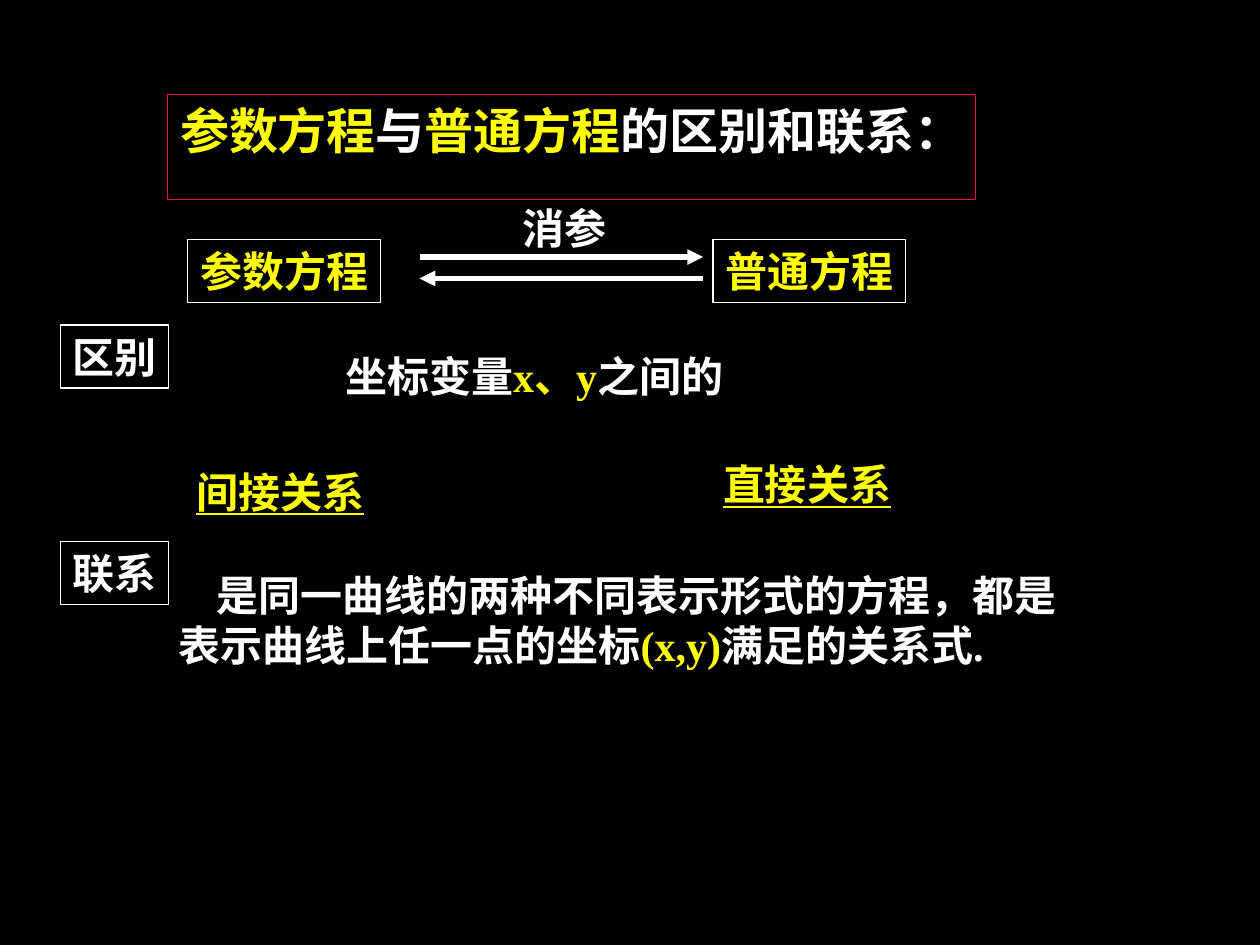
from dataclasses import dataclass

from lxml.etree import SubElement
from pptx import Presentation
from pptx.dml.color import RGBColor
from pptx.enum.shapes import MSO_CONNECTOR, MSO_SHAPE
from pptx.enum.text import MSO_ANCHOR, MSO_AUTO_SIZE, PP_ALIGN
from pptx.oxml.ns import qn
from pptx.util import Inches, Pt


@dataclass(frozen=True)
class Theme:
    background: RGBColor = RGBColor(0x00, 0x00, 0x00)
    text: RGBColor = RGBColor(0xFF, 0xFF, 0xFF)
    accent: RGBColor = RGBColor(0xFF, 0xFF, 0x00)
    title_border: RGBColor = RGBColor(0xFF, 0x00, 0x66)
    font: str = "Times New Roman"
    title_size: int = 28
    body_size: int = 24
    border_width: float = 0.75
    arrow_width: float = 3


THEME = Theme()


def write_text(shape, paragraphs, size=THEME.body_size, underline=False):
    """Each paragraph is a list of (text, colour) runs."""
    frame = shape.text_frame
    frame.word_wrap = False
    frame.auto_size = MSO_AUTO_SIZE.SHAPE_TO_FIT_TEXT
    frame.vertical_anchor = MSO_ANCHOR.TOP
    # A narrow right margin keeps tightly fitting text on one line
    frame.margin_right = Inches(0.05)
    for index, runs in enumerate(paragraphs):
        paragraph = frame.add_paragraph() if index else frame.paragraphs[0]
        paragraph.alignment = PP_ALIGN.LEFT
        paragraph.font.name = THEME.font
        paragraph.font.size = Pt(size)
        paragraph.font.bold = True
        if underline:
            paragraph.font.underline = True
        for text, color in runs:
            run = paragraph.add_run()
            run.text = text
            run.font.color.rgb = color


def set_border(shape, color):
    shape.line.color.rgb = color
    shape.line.width = Pt(THEME.border_width)


def place_title(slide, runs):
    title = slide.shapes.title
    title.left, title.top = Inches(1.33), Inches(0.75)
    title.width, title.height = Inches(6.41), Inches(0.57)
    set_border(title, THEME.title_border)
    write_text(title, [runs], THEME.title_size)


def add_box(slide, left, top, width, text, color):
    box = slide.shapes.add_shape(MSO_SHAPE.RECTANGLE, Inches(left), Inches(top),
                                 Inches(width), Inches(0.5))
    box.shadow.inherit = False
    box.fill.background()
    set_border(box, THEME.text)
    write_text(box, [[(text, color)]])


def add_label(slide, left, top, width, height, paragraphs, underline=False):
    label = slide.shapes.add_textbox(Inches(left), Inches(top),
                                     Inches(width), Inches(height))
    write_text(label, paragraphs, underline=underline)
    return label


def add_arrow(slide, start, end, y):
    arrow = slide.shapes.add_connector(MSO_CONNECTOR.STRAIGHT, Inches(start), Inches(y),
                                       Inches(end), Inches(y))
    arrow.line.color.rgb = THEME.text
    arrow.line.width = Pt(THEME.arrow_width)
    SubElement(arrow.line._get_or_add_ln(), qn("a:tailEnd"), type="triangle")
    SubElement(arrow._element.spPr, qn("a:effectLst"))


def main():
    presentation = Presentation()
    presentation.slide_width, presentation.slide_height = Inches(10), Inches(7.5)
    slide = presentation.slides.add_slide(presentation.slide_layouts[5])
    slide.background.fill.solid()
    slide.background.fill.fore_color.rgb = THEME.background
    white, yellow = THEME.text, THEME.accent

    # Title
    place_title(slide, [("参数方程", yellow), ("与", white),
                        ("普通方程", yellow), ("的区别和联系：", white)])

    # Two kinds of equation, converted into each other
    for left, text in ((1.49, "参数方程"), (5.66, "普通方程")):
        add_box(slide, left, 1.9, 1.53, text, yellow)
    add_arrow(slide, 3.33, 5.58, 2.04)
    add_arrow(slide, 5.58, 3.33, 2.21)
    add_label(slide, 4.05, 1.56, 0.86, 0.5, [[("消参", white)]])

    # Section headings
    for top, text in ((2.58, "区别"), (4.3, "联系")):
        add_box(slide, 0.48, top, 0.86, text, white)

    # Difference
    add_label(slide, 2.64, 2.73, 3.52, 0.5,
              [[("坐标变量", white), ("x、y", yellow), ("之间的", white)]])
    for left, top, text in ((5.64, 3.59, "直接关系"), (1.46, 3.65, "间接关系")):
        add_label(slide, left, top, 1.53, 0.5, [[(text, yellow)]], underline=True)

    # Connection, with an indented first line
    connection = add_label(slide, 1.32, 4.47, 7.17, 0.9, [
        [("是同一曲线的两种不同表示形式的方程，都是", white)],
        [("表示曲线上任一点的坐标", white), ("(x,y)", yellow), ("满足的关系式.", white)],
    ])
    first_line = connection.text_frame.paragraphs[0]
    first_line._p.get_or_add_pPr().set("indent", str(Inches(0.3)))

    presentation.save("out.pptx")


if __name__ == "__main__":
    main()
